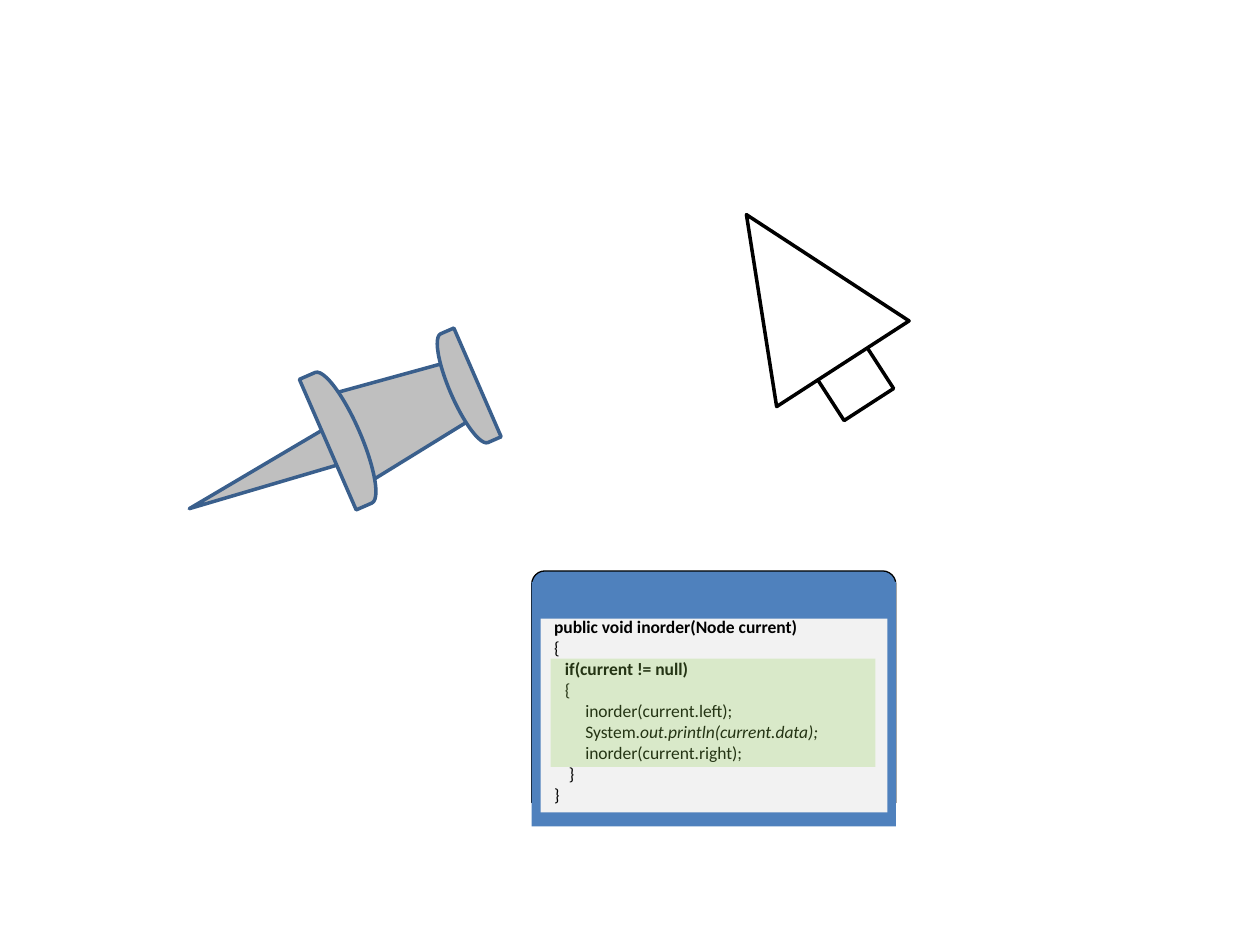
from lxml import etree
from pptx import Presentation
from pptx.dml.color import RGBColor
from pptx.enum.shapes import MSO_SHAPE
from pptx.enum.text import MSO_AUTO_SIZE
from pptx.oxml.ns import qn
from pptx.util import Cm, Pt

TRIANGLE = MSO_SHAPE.ISOSCELES_TRIANGLE
TAPER = MSO_SHAPE.FLOWCHART_MANUAL_OPERATION
DELAY = MSO_SHAPE.FLOWCHART_DELAY
RECT = MSO_SHAPE.RECTANGLE
ROUND_TOP = MSO_SHAPE.ROUND_2_SAME_RECTANGLE
FIT_SHAPE = MSO_AUTO_SIZE.SHAPE_TO_FIT_TEXT


def rgb(color):
    return RGBColor.from_string(color)


def add_part(shapes, kind, box, fill, line=None, width=2, rotation=0):
    sp = shapes.add_shape(kind, *[Cm(v) for v in box])
    sp.shadow.inherit = False
    sp.rotation = rotation
    sp.fill.solid()
    sp.fill.fore_color.rgb = rgb(fill)
    if line:
        sp.line.color.rgb = rgb(line)
        sp.line.width = Pt(width)
    else:
        sp.line.fill.background()
    return sp


prs = Presentation()
prs.slide_width = Cm(25.4)
prs.slide_height = Cm(19.05)
s = prs.slides.add_slide(prs.slide_layouts[6])

# Push pin: needle, body, collar, head
pin = s.shapes.add_group_shape().shapes
for kind, box, rotation in [
    (TRIANGLE, (4.88, 8.03, 0.79, 3.18), 246.5),
    (TAPER, (7.19, 6.96, 1.98, 2.77), 246.5),
    (DELAY, (6.58, 7.39, 0.69, 2.87), 336.5),
    (DELAY, (9.07, 6.63, 0.58, 2.39), 156.5),
]:
    add_part(pin, kind, box, "BFBFBF", "3A5F8C", rotation=rotation)

# Mouse pointer: tail, head
pointer = s.shapes.add_group_shape().shapes
for kind, box in [
    (RECT, (16.33, 6.15, 1.19, 2.18)),
    (TRIANGLE, (14.43, 4.04, 3.18, 3.58)),
]:
    add_part(pointer, kind, box, "FFFFFF", "000000", rotation=327.1)

# Code window: frame, body, code area
window = s.shapes.add_group_shape().shapes
frame = add_part(window, ROUND_TOP, (10.72, 11.51, 7.34, 4.67),
                 "4F81BD", "000000", 0.75)
frame.adjustments[0] = 0.057
frame.adjustments[1] = 0
add_part(window, RECT, (10.72, 11.73, 7.34, 4.93), "4F81BD")
add_part(window, RECT, (10.9, 12.47, 6.99, 3.91), "F2F2F2")

# Code lines: left indent in cm, then runs of text, bold, italic
code = [
    (0, [("public void inorder(Node current)", True, False)]),
    (0, [("{", False, False)]),
    (0.22, [("if(current != null)", True, False)]),
    (0.22, [("{", False, False)]),
    (0.63, [("inorder(current.left);", False, False)]),
    (0.63, [("System.", False, False),
            ("out.println(current.data);", False, True)]),
    (0.63, [("inorder(current.right);", False, False)]),
    (0.3, [("}", False, False)]),
    (0, [("}", False, False)]),
]
tf = s.shapes.add_textbox(Cm(10.92), Cm(12.29), Cm(5.92), Cm(4.11)).text_frame
tf.word_wrap = False
tf.auto_size = FIT_SHAPE
for i, (indent, runs) in enumerate(code):
    p = tf.add_paragraph() if i else tf.paragraphs[0]
    if indent:
        p._p.get_or_add_pPr().set("marL", str(Cm(indent)))
    for text, bold, italic in runs:
        r = p.add_run()
        r.text = text
        r.font.name = "Calibri"
        r.font.size = Pt(10)
        r.font.bold = bold
        r.font.italic = italic
        r.font.color.rgb = rgb("000000")

# Translucent highlight over the if block
highlight = add_part(s.shapes, RECT, (11.1, 13.28, 6.55, 2.18), "92D050")
color = highlight.fill._xPr.find(qn("a:solidFill")).find(qn("a:srgbClr"))
etree.SubElement(color, qn("a:alpha")).set("val", "25000")

prs.save("out.pptx")
